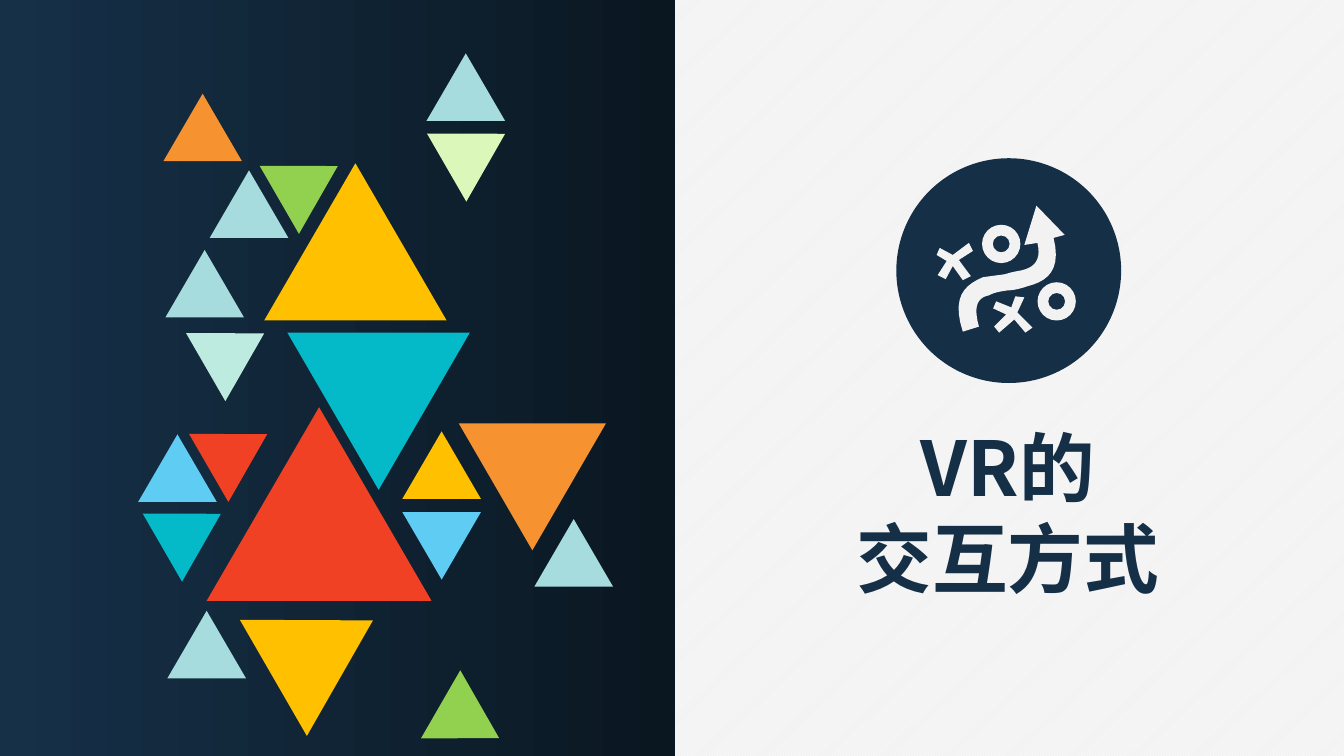
from pptx import Presentation
from pptx import util as u
from pptx.dml import color
from pptx.enum import dml, shapes, text
from pptx.oxml import ns

NAVY = "152F47"
PALE = "F2F2F2"
AQUA = "A7DCDE"
TEAL = "05BAC8"
RED = "F14124"
SKY = "5ECCF3"
ORANGE = "F69230"
GREEN = "92D050"
YELLOW = "FFC000"
SMALL = (0.78, 0.67)

TRIANGLES = [
    (1.64, 2.48, SMALL, 0, AQUA),
    (4.23, 0.53, SMALL, 0, AQUA),
    (1.94, 3.14, SMALL, 60, "BEEBDF"),
    (2.85, 3.3, (1.81, 1.56), 180, TEAL),
    (2.05, 4.04, (2.23, 1.92), 0, RED),
    (1.66, 6.06, SMALL, 0, AQUA),
    (1.37, 4.31, SMALL, 0, SKY),
    (1.62, 0.93, SMALL, 0, ORANGE),
    (2.08, 1.69, SMALL, 0, AQUA),
    (2.67, 1.48, SMALL, 60, GREEN),
    (4.33, 1.16, SMALL, 60, "DCF7BA"),
    (1.51, 4.93, SMALL, 60, TEAL),
    (4.55, 4.2, (1.46, 1.26), 180, ORANGE),
    (3.99, 4.28, SMALL, 0, YELLOW),
    (3.99, 5.08, SMALL, 180, SKY),
    (1.97, 4.14, SMALL, 60, RED),
    (2.54, 5.87, (1.33, 1.14), 60, YELLOW),
    (5.3, 5.15, SMALL, 0, AQUA),
    (2.62, 1.62, (1.81, 1.56), 0, YELLOW),
    (4.27, 6.82, SMALL, 120, GREEN),
]

CROSSES = [
    [(9.32, 2.46), (9.29, 2.53), (9.39, 2.59), (9.3, 2.73), (9.38, 2.77), (9.45, 2.64),
     (9.55, 2.78), (9.63, 2.74), (9.51, 2.58), (9.65, 2.49), (9.61, 2.41), (9.45, 2.53)],
    [(10.16, 2.95), (10.07, 2.94), (10.03, 3.05), (9.88, 2.99), (9.85, 3.06), (9.98, 3.12),
     (9.86, 3.24), (9.91, 3.3), (10.06, 3.17), (10.17, 3.3), (10.24, 3.25), (10.09, 3.1)],
]
RINGS = [(9.74, 2.23), (10.29, 2.8)]
ARROW_START = (9.55, 3.29)
ARROW_OUTER = [
    [(9.44, 2.95), (9.56, 2.83), (9.75, 2.75)],
    [(9.82, 2.74), (9.9, 2.73), (9.97, 2.72)],
    [(10.03, 2.7), (10.09, 2.69), (10.14, 2.68)],
    [(10.26, 2.65), (10.33, 2.58), (10.29, 2.41)],
]
ARROW_HEAD = [(10.16, 2.43), (10.28, 2.04), (10.56, 2.33), (10.45, 2.36)]
ARROW_INNER = [
    [(10.53, 2.68), (10.39, 2.79), (10.19, 2.84)],
    [(10.13, 2.86), (10.06, 2.88), (10, 2.88)],
    [(9.93, 2.89), (9.86, 2.9), (9.81, 2.93)],
    [(9.7, 2.95), (9.65, 3.03), (9.71, 3.24)],
]


def rgb(value):
    return color.RGBColor.from_string(value)


def paint(shape, fill):
    shape.shadow.inherit = False
    shape.line.fill.background()
    shape.fill.solid()
    shape.fill.fore_color.rgb = rgb(fill)


def add_preset(parent, kind, left, top, width, height, fill, rotation=0):
    shape = parent.add_shape(kind, *map(u.Inches, (left, top, width, height)))
    shape.rotation = rotation
    paint(shape, fill)
    return shape


def add_outline(parent, points, fill):
    corners = [(u.Inches(x), u.Inches(y)) for x, y in points]
    builder = parent.build_freeform(*corners[0])
    builder.add_line_segments(corners[1:], close=True)
    paint(builder.convert_to_shape(), fill)


def follow_curves(start, curves, steps=10):
    points = []
    for first, second, end in curves:
        for step in range(1, steps + 1):
            t = step / steps
            weights = ((1 - t) ** 3, 3 * t * (1 - t) ** 2, 3 * t * t * (1 - t), t ** 3)
            corners = (start, first, second, end)
            points.append(tuple(sum(w * c[axis] for w, c in zip(weights, corners))
                                for axis in (0, 1)))
        start = end
    return points


def write_text(frame, lines, size, font, fill, bold=False, align=text.PP_ALIGN.CENTER):
    frame.text = "\n".join(lines)
    for paragraph in frame.paragraphs:
        paragraph.alignment = align
        for run in paragraph.runs:
            run.font.size = u.Pt(size)
            run.font.bold = bold
            run.font.name = font
            run.font.color.rgb = rgb(fill)
            latin = run.font._element.find(ns.qn("a:latin"))
            east_asian = latin.makeelement(ns.qn("a:ea"), {"typeface": font})
            latin.addnext(east_asian)


def add_background(slide):
    fill = slide.background.fill
    fill.patterned()
    fill.pattern = dml.MSO_PATTERN.LIGHT_UPWARD_DIAGONAL
    fill.fore_color.rgb = rgb("FFFFFF")
    fill.back_color.rgb = rgb(PALE)


def add_panel(slide):
    panel = add_preset(slide.shapes, shapes.MSO_SHAPE.RECTANGLE, 0, 0, 6.69, 7.5, NAVY)
    panel.fill.gradient()
    panel.fill.gradient_angle = 0
    for stop, position, shade in zip(panel.fill.gradient_stops, (0, 1), ("163048", "0A1721")):
        stop.position = position
        stop.color.rgb = rgb(shade)


def add_strategy_icon(slide):
    icon = slide.shapes.add_group_shape().shapes
    add_preset(icon, shapes.MSO_SHAPE.OVAL, 8.89, 1.57, 2.23, 2.23, NAVY)
    outer = follow_curves(ARROW_START, ARROW_OUTER)
    inner = follow_curves(ARROW_HEAD[-1], ARROW_INNER)
    add_outline(icon, [ARROW_START] + outer + ARROW_HEAD + inner, PALE)
    for cross in CROSSES:
        add_outline(icon, cross, PALE)
    for left, top in RINGS:
        ring = add_preset(icon, shapes.MSO_SHAPE.DONUT, left, top, 0.38, 0.38, PALE)
        ring.adjustments[0] = 0.28


def set_title(slide):
    title = slide.shapes.title
    title.left, title.top, title.width, title.height = map(u.Inches, (8.38, 4.13, 3.23, 1.92))
    frame = title.text_frame
    write_text(frame, ["VR的", "交互方式"], size=54, font="Noto Sans CJK SC", fill=NAVY, bold=True)
    frame.word_wrap = False
    frame.auto_size = text.MSO_AUTO_SIZE.SHAPE_TO_FIT_TEXT
    frame.vertical_anchor = text.MSO_ANCHOR.TOP


def main():
    deck = Presentation()
    deck.slide_width, deck.slide_height = u.Inches(13.33), u.Inches(7.5)
    slide = deck.slides.add_slide(deck.slide_layouts[5])
    add_background(slide)
    add_panel(slide)
    set_title(slide)
    add_strategy_icon(slide)
    for left, top, size, rotation, fill in TRIANGLES:
        add_preset(slide.shapes, shapes.MSO_SHAPE.ISOSCELES_TRIANGLE, left, top, *size, fill, rotation)
    deck.save("out.pptx")


if __name__ == "__main__":
    main()
